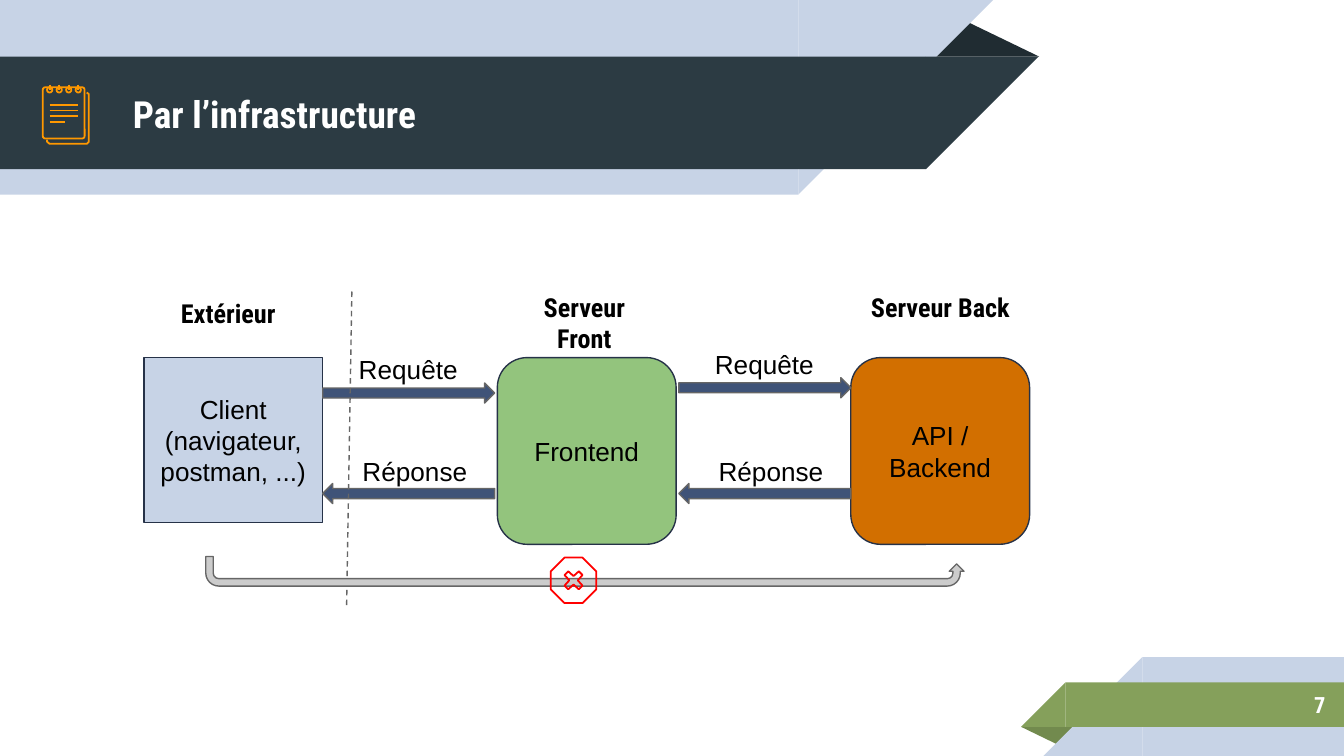
from lxml import etree
from pptx import Presentation
from pptx.dml.color import RGBColor
from pptx.enum.dml import MSO_LINE
from pptx.enum.shapes import MSO_CONNECTOR, MSO_SHAPE
from pptx.enum.text import MSO_ANCHOR, PP_ALIGN
from pptx.oxml.ns import qn
from pptx.util import Cm, Pt

RECT, ROUNDED, OVAL = MSO_SHAPE.RECTANGLE, MSO_SHAPE.ROUNDED_RECTANGLE, MSO_SHAPE.OVAL
TRIANGLE, CORNER = MSO_SHAPE.ISOSCELES_TRIANGLE, MSO_SHAPE.RIGHT_TRIANGLE
ARROW, UTURN = MSO_SHAPE.RIGHT_ARROW, MSO_SHAPE.U_TURN_ARROW
STRAIGHT, DASH = MSO_CONNECTOR.STRAIGHT, MSO_LINE.DASH
LEFT, CENTER, RIGHT = PP_ALIGN.LEFT, PP_ALIGN.CENTER, PP_ALIGN.RIGHT
TOP, MIDDLE = MSO_ANCHOR.TOP, MSO_ANCHOR.MIDDLE

WHITE = RGBColor(0xFF, 0xFF, 0xFF)
BLACK = RGBColor(0x00, 0x00, 0x00)
PALE_BLUE = RGBColor(0xC7, 0xD3, 0xE6)
SLATE = RGBColor(0x2C, 0x3B, 0x43)
DARK_SLATE = RGBColor(0x20, 0x2C, 0x32)
OLIVE = RGBColor(0x85, 0xA0, 0x5B)
DARK_OLIVE = RGBColor(0x72, 0x8A, 0x4E)
ORANGE = RGBColor(0xFF, 0x98, 0x00)
NAVY = RGBColor(0x26, 0x32, 0x48)
BLUE = RGBColor(0x3F, 0x53, 0x78)
GREEN = RGBColor(0x93, 0xC4, 0x7D)
RUST = RGBColor(0xD2, 0x6F, 0x00)
GREY = RGBColor(0x66, 0x66, 0x66)
LIGHT_GREY = RGBColor(0xCC, 0xCC, 0xCC)
RED = RGBColor(0xFF, 0x00, 0x00)

PAGE_WIDTH, PAGE_HEIGHT = 25.4, 14.29


class Painter:
    body_font, heading_font = "Arial", "Roboto Condensed"
    inset, thin, icon_line = 0.25, 0.75, 0.96

    def __init__(self, page):
        self.page = page

    def paint(self, shape, fill, line, weight):
        shape.shadow.inherit = False
        if fill is None:
            shape.fill.background()
        else:
            shape.fill.solid()
            shape.fill.fore_color.rgb = fill
        if line is None:
            shape.line.fill.background()
        else:
            shape.line.color.rgb = line
            shape.line.width = Pt(weight)

    def shape(self, kind, left, top, width, height, fill=None, line=None,
              weight=thin, flip=None, adjust=()):
        shape = self.page.shapes.add_shape(kind, Cm(left), Cm(top), Cm(width), Cm(height))
        self.paint(shape, fill, line, weight)
        for index, value in enumerate(adjust):
            shape.adjustments[index] = value
        if flip:
            shape._element.spPr.find(qn("a:xfrm")).set(flip, "1")
        return shape

    def outline(self, contours, color, closed=True):
        points = [[(Cm(x), Cm(y)) for x, y in contour] for contour in contours]
        builder = self.page.shapes.build_freeform(*points[0][0])
        for index, contour in enumerate(points):
            if index:
                builder.move_to(*contour[0])
            builder.add_line_segments(contour[1:], close=closed)
        self.paint(builder.convert_to_shape(), None, color, self.icon_line)

    def line(self, x1, y1, x2, y2, color, weight=thin, dash=None):
        line = self.page.shapes.add_connector(STRAIGHT, Cm(x1), Cm(y1), Cm(x2), Cm(y2))
        line.line.color.rgb = color
        line.line.width = Pt(weight)
        if dash:
            line.line.dash_style = dash
        etree.SubElement(line._element.spPr, qn("a:effectLst"))

    def label(self, shape, text, size=14, color=BLACK, align=LEFT, anchor=TOP, heading=False):
        frame = shape.text_frame
        frame.word_wrap = True
        frame.vertical_anchor = anchor
        frame.margin_left = frame.margin_right = Cm(self.inset)
        frame.margin_top = frame.margin_bottom = Cm(self.inset)
        frame.text = text
        para = frame.paragraphs[0]
        para.alignment = align
        font = para.runs[0].font
        font.name = self.heading_font if heading else self.body_font
        font.size, font.bold, font.color.rgb = Pt(size), heading, color

    def text(self, text, left, top, width, height, **style):
        box = self.page.shapes.add_textbox(Cm(left), Cm(top), Cm(width), Cm(height))
        self.label(box, text, **style)

    def node(self, kind, text, left, height, fill):
        box = self.shape(kind, left, 6.76, 3.38, height, fill, NAVY)
        self.label(box, text, align=CENTER, anchor=MIDDLE)

    def exchange(self, text, left, top, flip, indent, rise):
        self.shape(ARROW, left, top, 3.25, 0.38, BLUE, GREY, flip=flip)
        self.text(text, left + indent, top - rise, 4, 1.98)

    def header_band(self, top, edge, height, fill):
        self.shape(RECT, 0, top, edge, height, fill)
        self.shape(CORNER, edge, top, height, height, fill, flip="flipV")

    def footer_band(self, top, edge, height, fill):
        self.shape(RECT, edge, top, PAGE_WIDTH - edge, height, fill)
        self.shape(CORNER, edge - height, top, height, height, fill, flip="flipH")


def four_turns(center_x, center_y, quarter):
    """Repeat the points of one quarter around a centre."""
    points = []
    for _ in range(4):
        points += [(center_x + x, center_y + y) for x, y in quarter]
        quarter = [(-y, x) for x, y in quarter]
    return points


def main():
    deck = Presentation()
    deck.slide_width, deck.slide_height = Cm(PAGE_WIDTH), Cm(PAGE_HEIGHT)
    painter = Painter(deck.slides.add_slide(deck.slide_layouts[6]))

    # Header and footer ribbons
    painter.shape(TRIANGLE, 17.48, 0.36, 2.16, 0.71, DARK_SLATE, adjust=[0.32])
    painter.header_band(0, 15.09, 3.68, PALE_BLUE)
    painter.header_band(1.07, 17.5, 2.13, SLATE)
    fold = painter.shape(TRIANGLE, 19.3, 13.74, 1.09, 0.36, DARK_OLIVE, adjust=[0.32])
    fold.rotation = 180
    painter.footer_band(12.42, 21.59, 1.87, PALE_BLUE)
    painter.footer_band(12.9, 20.14, 0.84, OLIVE)
    painter.text("Par l’infrastructure", 2.26, 1.09, 14.6, 2.13, size=20, color=WHITE,
                 anchor=MIDDLE, heading=True)
    painter.text("7", 21.16, 12.88, 4.14, 0.89, size=12, color=WHITE, align=RIGHT,
                 anchor=MIDDLE, heading=True)

    # Notepad icon
    rear_sheet = [(0.89, 2.64), (0.89, 2.68), (0.94, 2.72), (1.64, 2.72),
                  (1.68, 2.68), (1.68, 1.78), (1.64, 1.75)]
    painter.outline([rear_sheet], ORANGE, closed=False)
    painter.shape(ROUNDED, 0.81, 1.65, 0.79, 0.97, line=ORANGE,
                  weight=painter.icon_line, adjust=[0.06])
    for index in range(4):
        ring = 0.94 + 0.18 * index
        painter.shape(OVAL, ring - 0.05, 1.65, 0.1, 0.1, line=ORANGE, weight=painter.icon_line)
        painter.line(ring, 1.6, ring, 1.7, ORANGE, painter.icon_line)
        row = 1.98 + 0.11 * index
        painter.line(0.94, row, 1.22 if index == 3 else 1.47, row, ORANGE, painter.icon_line)

    # Client, frontend and backend
    painter.node(RECT, "Client (navigateur, postman, ...)", 2.72, 3.12, PALE_BLUE)
    painter.node(ROUNDED, "Frontend", 9.4, 3.53, GREEN)
    painter.node(ROUNDED, "API / Backend", 16.08, 3.53, RUST)

    # Requests and responses
    for left, request_top in ((6.1, 7.24), (12.83, 7.14)):
        painter.exchange("Requête", left, request_top, None, 0.43, 0.81)
        painter.exchange("Réponse", left, 9.14, "flipH", 0.5, 0.78)
    painter.line(6.65, 5.51, 6.55, 11.48, GREY, dash=DASH)

    # Zone headings
    for text, left, top, align in (("Extérieur", 2.74, 5.38, CENTER),
                                   ("Serveur Front", 9.47, 5.26, CENTER),
                                   ("Serveur Back", 16.21, 5.26, LEFT)):
        painter.text(text, left, top, 3.15, 0.97, align=align, heading=True)

    # Forbidden direct route
    painter.shape(UTURN, 3.89, 10.52, 14.33, 0.56, LIGHT_GREY, GREY, flip="flipV",
                  adjust=[0.25, 0.25, 0.25, 0.44, 0.75])
    octagon = four_turns(10.84, 10.97, [(0.17, -0.43), (0.43, -0.17)])
    cross = four_turns(10.84, 10.97, [(0, -0.08), (0.1, -0.17), (0.17, -0.1)])
    painter.outline([octagon, cross], RED)

    deck.save("out.pptx")


if __name__ == "__main__":
    main()
